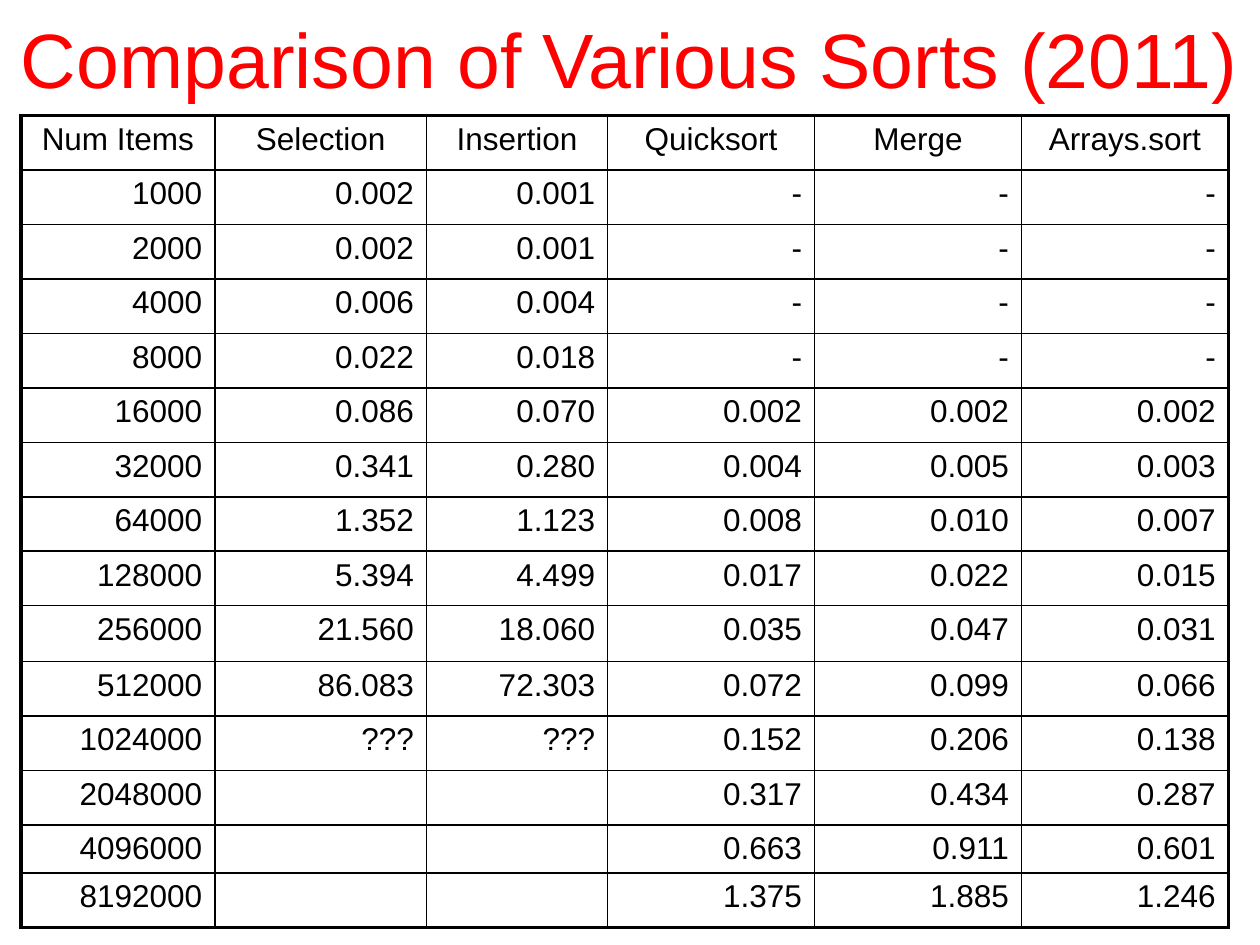
from dataclasses import dataclass

from lxml.etree import SubElement
from pptx import Presentation
from pptx.dml.color import RGBColor
from pptx.enum.text import MSO_ANCHOR, MSO_AUTO_SIZE, PP_ALIGN
from pptx.oxml.ns import qn
from pptx.util import Pt

TITLE = "Comparison of Various Sorts (2011)"
SORTS = ("Num Items", "Selection", "Insertion", "Quicksort", "Merge", "Arrays.sort")
TIMINGS = [
    ("1000", "0.002", "0.001", "-", "-", "-"),
    ("2000", "0.002", "0.001", "-", "-", "-"),
    ("4000", "0.006", "0.004", "-", "-", "-"),
    ("8000", "0.022", "0.018", "-", "-", "-"),
    ("16000", "0.086", "0.070", "0.002", "0.002", "0.002"),
    ("32000", "0.341", "0.280", "0.004", "0.005", "0.003"),
    ("64000", "1.352", "1.123", "0.008", "0.010", "0.007"),
    ("128000", "5.394", "4.499", "0.017", "0.022", "0.015"),
    ("256000", "21.560", "18.060", "0.035", "0.047", "0.031"),
    ("512000", "86.083", "72.303", "0.072", "0.099", "0.066"),
    ("1024000", "???", "???", "0.152", "0.206", "0.138"),
    ("2048000", "", "", "0.317", "0.434", "0.287"),
    ("4096000", "", "", "0.663", "0.911", "0.601"),
    ("8192000", "", "", "1.375", "1.885", "1.246"),
]

SLIDE_SIZE = (720, 540)
TITLE_BOX = (-24, -12, 768, 90)
TABLE_LEFT, TABLE_TOP = 12, 66
COLUMN_WIDTHS = (110.75, 121, 103.5, 118.25, 118.25, 118.25)
ROW_HEIGHT = 31.15
SPECIAL_ROW_HEIGHTS = {"256000": 32, "4096000": 26}


@dataclass(frozen=True)
class Theme:
    font: str = "Arial"
    title_color: RGBColor = RGBColor(0xFF, 0, 0)
    ink: RGBColor = RGBColor(0, 0, 0)
    title_size: float = 44
    cell_size: float = 18
    outer_line: float = 2.25
    inner_line: float = 1


THEME = Theme()


def style_paragraph(paragraph, size, color, alignment):
    paragraph.alignment = alignment
    paragraph.font.name = THEME.font
    paragraph.font.size = Pt(size)
    paragraph.font.color.rgb = color


def set_borders(cell, outer_sides):
    """Draw all four sides, heavier on those at the table's edge."""
    properties = cell._tc.get_or_add_tcPr()
    for side in "LRTB":
        weight = THEME.outer_line if side in outer_sides else THEME.inner_line
        line = SubElement(properties, qn(f"a:ln{side}"), w=str(int(Pt(weight))))
        fill = SubElement(line, qn("a:solidFill"))
        SubElement(fill, qn("a:srgbClr"), val=str(THEME.ink))


def add_title(slide):
    title = slide.shapes.title
    title.left, title.top, title.width, title.height = map(Pt, TITLE_BOX)
    frame = title.text_frame
    frame.text = TITLE
    frame.word_wrap = True
    frame.auto_size = MSO_AUTO_SIZE.NONE
    frame.vertical_anchor = MSO_ANCHOR.MIDDLE
    style_paragraph(frame.paragraphs[0], THEME.title_size, THEME.title_color,
                    PP_ALIGN.CENTER)


def add_timing_table(slide):
    rows = [SORTS, *TIMINGS]
    heights = [SPECIAL_ROW_HEIGHTS.get(row[0], ROW_HEIGHT) for row in rows]
    table = slide.shapes.add_table(
        len(rows), len(SORTS), Pt(TABLE_LEFT), Pt(TABLE_TOP),
        Pt(sum(COLUMN_WIDTHS)), Pt(sum(heights))).table
    table.first_row = table.horz_banding = False
    for column, width in zip(table.columns, COLUMN_WIDTHS):
        column.width = Pt(width)
    for table_row, height in zip(table.rows, heights):
        table_row.height = Pt(height)

    last_row, last_column = len(rows) - 1, len(SORTS) - 1
    for r, row in enumerate(rows):
        for c, value in enumerate(row):
            cell = table.cell(r, c)
            cell.text = value
            cell.margin_left = cell.margin_right = Pt(7.2)
            cell.margin_top = cell.margin_bottom = Pt(3.6)
            style_paragraph(cell.text_frame.paragraphs[0], THEME.cell_size, THEME.ink,
                            PP_ALIGN.RIGHT if r else PP_ALIGN.CENTER)
            edges = {"L": c == 0, "R": c == last_column,
                     "T": r == 0, "B": r == last_row}
            set_borders(cell, [side for side, at_edge in edges.items() if at_edge])
            cell.fill.background()


def main():
    presentation = Presentation()
    presentation.slide_width, presentation.slide_height = map(Pt, SLIDE_SIZE)
    slide = presentation.slides.add_slide(
        presentation.slide_layouts.get_by_name("Title Only"))
    add_title(slide)
    add_timing_table(slide)
    presentation.save("out.pptx")


if __name__ == "__main__":
    main()
